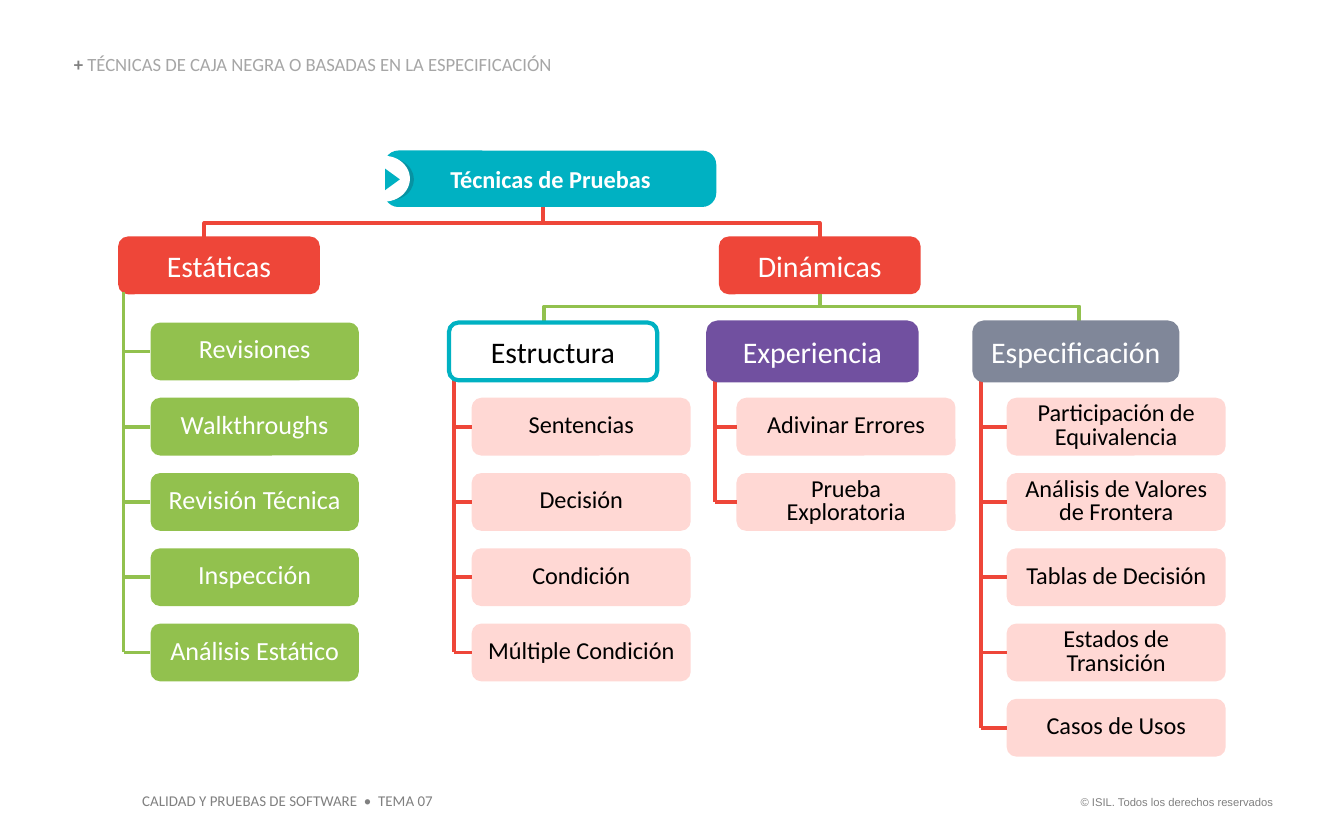
from lxml.etree import SubElement
from pptx import Presentation
from pptx.dml.color import RGBColor
from pptx.enum.shapes import MSO_CONNECTOR as LINE, MSO_SHAPE as SHAPE
from pptx.enum.text import MSO_ANCHOR as ANCHOR, MSO_AUTO_SIZE as FIT, PP_ALIGN as ALIGN
from pptx.oxml.ns import qn
from pptx.util import Inches, Pt

WHITE = RGBColor(0xFF, 0xFF, 0xFF)
BLACK = RGBColor(0x00, 0x00, 0x00)
GRAY = RGBColor(0x80, 0x80, 0x80)
LIGHT_GRAY = RGBColor(0xA6, 0xA6, 0xA6)
RED = RGBColor(0xEE, 0x46, 0x39)
GREEN = RGBColor(0x92, 0xC1, 0x4E)
PINK = RGBColor(0xFF, 0xD8, 0xD4)
PURPLE = RGBColor(0x71, 0x50, 0xA0)
SLATE = RGBColor(0x80, 0x87, 0x99)
TEAL = RGBColor(0x00, 0xB1, 0xC2)
DARK_TEAL = RGBColor(0x07, 0x92, 0xA2)

# Rows of the tree, in inches
ROW_TOP, ROW_PITCH, BOX_H = 2.4, 0.56, 0.43
LEVEL_TOP = 1.76  # Estáticas and Dinámicas
STROKE = 2


def row_y(row):
    return ROW_TOP + row * ROW_PITCH


def set_font(font, size, color, name="Calibri", bold=False):
    font.name, font.size, font.bold = name, Pt(size), bold
    font.color.rgb = color


def add_shape(slide, kind, x, y, w, h, fill=None, outline=None):
    sp = slide.shapes.add_shape(kind, Inches(x), Inches(y), Inches(w), Inches(h))
    sp.shadow.inherit = False
    if fill is None:
        sp.fill.background()
    else:
        sp.fill.solid()
        sp.fill.fore_color.rgb = fill
    if outline is None:
        sp.line.fill.background()
    else:
        sp.line.color.rgb = outline
        sp.line.width = Pt(2.25)
    return sp


def add_box(slide, text, x, y, w, fill, size, color=WHITE, outline=None,
            spacing=None, h=BOX_H, bold=False):
    sp = add_shape(slide, SHAPE.ROUNDED_RECTANGLE, x, y, w, h, fill, outline)
    tf = sp.text_frame
    tf.word_wrap = True
    tf.vertical_anchor = ANCHOR.MIDDLE
    p = tf.paragraphs[0]
    p.text = text
    p.alignment = ALIGN.CENTER
    p.line_spacing = spacing
    set_font(p.font, size, color, bold=bold)
    return sp


def add_line(slide, x1, y1, x2, y2, color):
    line = slide.shapes.add_connector(
        LINE.STRAIGHT, Inches(x1), Inches(y1), Inches(x2), Inches(y2))
    line.line.color.rgb = color
    line.line.width = Pt(STROKE)
    SubElement(line._element.spPr, qn("a:effectLst"))
    return line


def add_bracket(slide, left, right, top, bottom, color):
    points = [(left, top), (right, top), (right, bottom)]
    builder = slide.shapes.build_freeform(Inches(left), Inches(bottom))
    builder.add_line_segments(
        [(Inches(x), Inches(y)) for x, y in points], close=False)
    sp = builder.convert_to_shape()
    sp.shadow.inherit = False
    sp.fill.background()
    sp.line.color.rgb = color
    sp.line.width = Pt(STROKE)


def add_branch(slide, labels, spine_x, spine_top, x, w, first_row, line_color,
               fill, size, color):
    """Column of boxes hung from a vertical spine."""
    last_mid = row_y(first_row + len(labels) - 1) + BOX_H / 2
    add_line(slide, spine_x, spine_top, spine_x, last_mid, line_color)
    for row, label in enumerate(labels, first_row):
        y = row_y(row)
        box = add_box(slide, label, x, y, w, fill, size, color, spacing=0.8)
        mid = y + BOX_H / 2
        add_line(slide, spine_x, mid, x, mid, line_color).end_connect(box, 1)


def add_title(slide):
    title = slide.shapes.title
    title.left, title.top = Inches(0.55), Inches(0.41)
    title.width, title.height = Inches(3.61), Inches(0.15)
    tf = title.text_frame
    tf.margin_left = tf.margin_right = tf.margin_top = tf.margin_bottom = 0
    tf.auto_size = FIT.NONE
    tf.word_wrap = False
    tf.vertical_anchor = ANCHOR.BOTTOM
    p = tf.paragraphs[0]
    p.alignment = ALIGN.LEFT
    p.line_spacing = 0.9
    for text, color, bold in (
            ("+ ", GRAY, True),
            ("TÉCNICAS DE CAJA NEGRA O BASADAS EN LA ESPECIFICACIÓN", LIGHT_GRAY, False)):
        r = p.add_run()
        r.text = text
        set_font(r.font, 10, color, bold=bold)


def add_footer(slide, text, x, y, w, h, size, font, align):
    tf = slide.shapes.add_textbox(
        Inches(x), Inches(y), Inches(w), Inches(h)).text_frame
    tf.word_wrap = False
    p = tf.paragraphs[0]
    p.text = text
    p.alignment = align
    set_font(p.font, size, GRAY, font)


def add_root(slide):
    root = add_box(slide, "Técnicas de Pruebas", 2.86, 1.12, 2.47, TEAL, 13,
                   h=0.42, bold=True)
    root.adjustments[0] = 0.25
    # Round notch with its arrowhead
    add_shape(slide, SHAPE.OVAL, 2.73, 1.18, 0.35, 0.31, DARK_TEAL)
    add_shape(slide, SHAPE.OVAL, 2.67, 1.16, 0.38, 0.34, WHITE)
    add_shape(slide, SHAPE.ISOSCELES_TRIANGLE, 2.84, 1.28, 0.16, 0.11, TEAL).rotation = 90


def main():
    prs = Presentation()
    prs.slide_width, prs.slide_height = Inches(10), Inches(6.25)
    slide = prs.slides.add_slide(prs.slide_layouts[5])

    # Title and footers
    add_title(slide)
    add_footer(slide, "CALIDAD Y PRUEBAS DE SOFTWARE  •  TEMA 07",
               0.96, 5.84, 2.37, 0.24, 8, "Calibri", ALIGN.LEFT)
    add_footer(slide, "© ISIL. Todos los derechos reservados",
               7.88, 5.87, 1.69, 0.2, 6, "Arial", ALIGN.RIGHT)

    # Root and first level
    add_line(slide, 4.04, 1.49, 4.04, 1.66, RED)
    add_root(slide)
    add_bracket(slide, 1.52, 6.1, 1.66, LEVEL_TOP + 0.01, RED)
    add_box(slide, "Estáticas", 0.88, LEVEL_TOP, 1.5, RED, 16)
    dynamic = add_box(slide, "Dinámicas", 5.35, LEVEL_TOP, 1.5, RED, 16)

    # Second level under Dinámicas
    add_line(slide, 6.1, LEVEL_TOP + BOX_H, 6.1, 2.28, GREEN).begin_connect(dynamic, 2)
    add_bracket(slide, 4.05, 8.03, 2.28, ROW_TOP, GREEN)

    # Static techniques
    add_branch(slide, ["Revisiones", "Walkthroughs", "Revisión Técnica",
                       "Inspección", "Análisis Estático"],
               0.92, LEVEL_TOP + BOX_H - 0.02, 1.12, 1.55, 0, GREEN, GREEN, 14, WHITE)

    # Dynamic techniques: name, left, width, fill, outline, text, spine, items left, items
    families = [
        ("Estructura", 3.34, 1.55, None, TEAL, BLACK, 3.38, 3.51,
         ["Sentencias", "Decisión", "Condición", "Múltiple Condición"]),
        ("Experiencia", 5.27, 1.55, PURPLE, PURPLE, WHITE, 5.32, 5.48,
         ["Adivinar Errores", "Prueba Exploratoria"]),
        ("Especificación", 7.25, 1.51, SLATE, SLATE, WHITE, 7.3, 7.49,
         ["Participación de Equivalencia", "Análisis de Valores de Frontera",
          "Tablas de Decisión", "Estados de Transición", "Casos de Usos"]),
    ]
    for name, x, w, fill, outline, color, spine_x, items_x, items in families:
        add_branch(slide, items, spine_x, ROW_TOP + BOX_H, items_x, 1.63, 1,
                   RED, PINK, 13, BLACK)
        add_box(slide, name, x, ROW_TOP, w, fill, 16, color, outline)

    prs.save("out.pptx")


if __name__ == "__main__":
    main()
